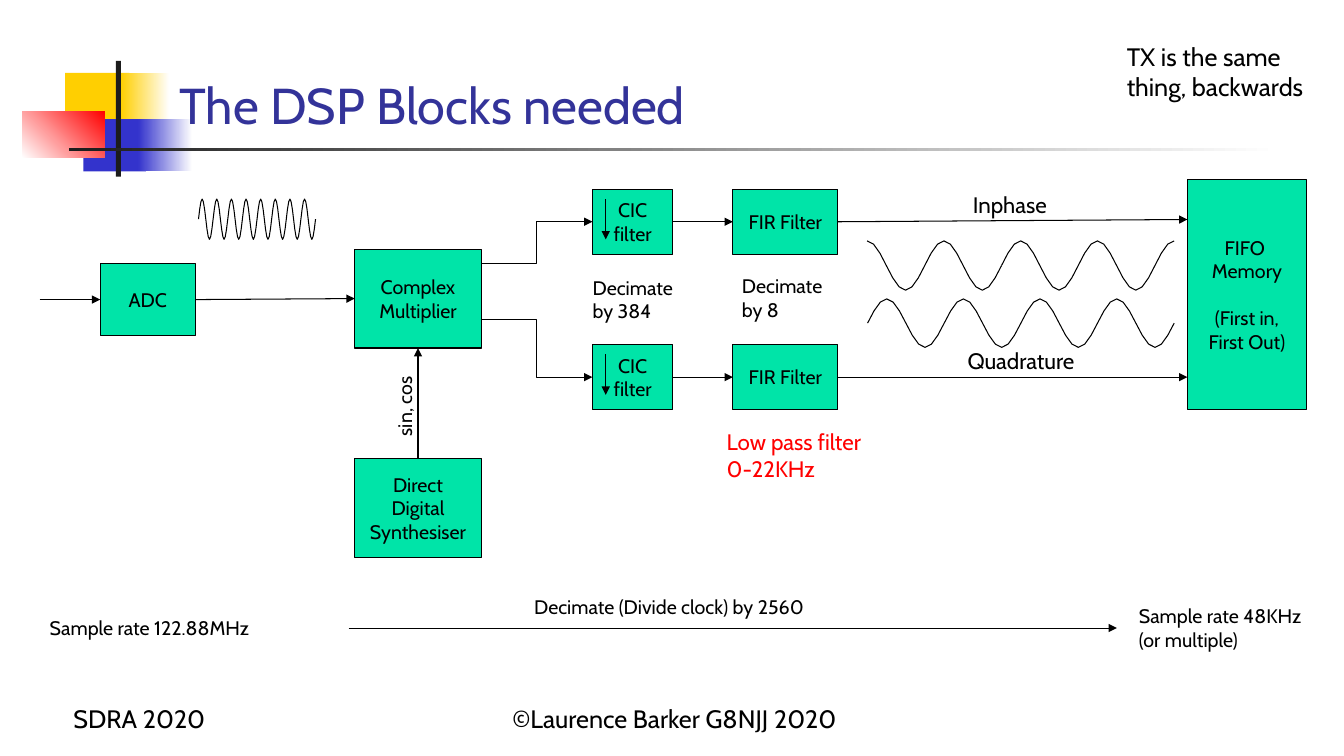
"""Build the slide that shows the DSP blocks of a receiver."""
from dataclasses import dataclass
from math import pi, sin

from lxml.etree import SubElement
from pptx import Presentation
from pptx.dml.color import RGBColor
from pptx.enum.shapes import MSO_CONNECTOR as Wire, MSO_SHAPE as Form
from pptx.enum.text import MSO_ANCHOR as Anchor, PP_ALIGN as Align
from pptx.oxml.ns import qn
from pptx.shapes.autoshape import Shape
from pptx.shapes.connector import Connector
from pptx.shapes.shapetree import SlideShapes as Tree
from pptx.text.text import TextFrame as Frame
from pptx.util import Pt

BLACK, WHITE, GREEN, RED = "000000", "FFFFFF", "00E4A8", "FF0000"
GOLD, BLUE, DARK, NAVY = "FFCF01", "3333CC", "1C1C1C", "333399"
TOP, LEFT, BOTTOM, RIGHT = range(4)
ROWS = (135, 246)
STEPS = 12


@dataclass
class Panel:
    x: float
    y: float
    w: float
    h: float
    hues: tuple[str, ...]
    turn: float = 0


@dataclass
class Block:
    x: float
    y: float
    w: float
    h: float
    words: str
    gaps: tuple[float, ...] = ()


@dataclass
class Label:
    x: float
    y: float
    w: float
    h: float
    words: str
    size: float = 14
    hue: str = BLACK
    wrap: bool = True
    anchor: Anchor = Anchor.TOP
    align: Align = Align.LEFT
    turn: float = 0


@dataclass
class Wave:
    x: float
    mid: float
    width: float
    height: float
    turns: float = 2
    phase: float = 0


PANELS = (
    Panel(46.5, 52, 46, 37.4, (GOLD,)),
    Panel(86.4, 52, 34.6, 37.4, (GOLD, WHITE)),
    Panel(59.6, 85, 44.6, 37.4, (BLUE,)),
    Panel(98.6, 85, 38.9, 37.4, (BLUE, WHITE)),
    Panel(15.8, 79.4, 59, 33.1, (WHITE, RED), 45),
    Panel(82.8, 43.4, 3.6, 82.8, (DARK,)),
    Panel(49, 105.8, 864, 2.2, (DARK, WHITE)),
)
LABELS = (
    Label(121, 16.6, 818, 82.8, "The DSP Blocks needed", 36, NAVY, anchor=Anchor.BOTTOM),
    Label(45.4, 491.8, 200, 36, "SDRA 2020", 18, anchor=Anchor.BOTTOM),
    Label(275.8, 491.8, 411.8, 36, "©Laurence Barker G8NJJ 2020", 18,
          anchor=Anchor.BOTTOM, align=Align.CENTER),
    Label(28.4, 436.3, 162.7, 24.5, "Sample rate 122.88MHz", wrap=False),
    Label(806.4, 428, 133.2, 41, "Sample rate 48KHz\n(or multiple)", wrap=False),
    Label(374.4, 421.2, 226.8, 24.5, "Decimate (Divide clock) by 2560"),
    Label(687.8, 133, 71.3, 26.6, "Inphase", 16, wrap=False),
    Label(684, 244.4, 95, 26.6, "Quadrature", 16, wrap=False),
    Label(258.5, 275.8, 61.2, 24.5, "sin, cos", wrap=False, turn=270),
    Label(797.8, 25.9, 153.4, 51.1, "TX is the same thing, backwards", 18),
    Label(416.2, 193.4, 75.6, 41, "Decimate by 384"),
    Label(522.9, 192.2, 75.6, 41, "Decimate by 8"),
    Label(512, 302.4, 126.7, 46, "Low pass filter 0-22KHz", 16, RED),
)
WAVES = (
    *(Wave(141.8 + 20.9 * i, 156.6, 20.9, 14.4) for i in range(4)),
    *(Wave(619.7 + 109.5 * i, 230.8, 109.5, 17.3) for i in range(2)),
    Wave(619.4, 189.7, 96, 17.6, 1.75, pi / 2),
    Wave(715.4, 189.7, 123.3, 17.6, 2.25),
)


def tint(code: str) -> RGBColor:
    return RGBColor.from_string(code)


def write(frame: Frame, words: str, *, size: float = 14, hue: str = BLACK,
          align: Align = Align.CENTER, anchor: Anchor = Anchor.MIDDLE,
          wrap: bool = True, gaps: tuple[float, ...] = ()) -> None:
    frame.word_wrap = wrap
    frame.vertical_anchor = anchor
    frame.text = words
    for part in frame.paragraphs:
        part.alignment = align
        font = part.runs[0].font
        font.name, font.size = "Cabin", Pt(size)
        font.color.rgb = tint(hue)
    for part, gap in zip(frame.paragraphs, gaps):
        part.space_before = Pt(gap)


def add_rect(tree: Tree, spot: Panel | Block) -> Shape:
    rect = tree.add_shape(Form.RECTANGLE, Pt(spot.x), Pt(spot.y), Pt(spot.w), Pt(spot.h))
    rect.shadow.inherit = False
    return rect


def add_panel(tree: Tree, panel: Panel) -> None:
    rect = add_rect(tree, panel)
    rect.line.fill.background()
    if len(panel.hues) == 1:
        rect.fill.solid()
        rect.fill.fore_color.rgb = tint(panel.hues[0])
        return
    rect.fill.gradient()
    rect.fill.gradient_angle = panel.turn
    for stop, hue in zip(rect.fill.gradient_stops, panel.hues):
        stop.color.rgb = tint(hue)


def ink(shape: Shape | Connector) -> None:
    shape.line.color.rgb = tint(BLACK)
    shape.line.width = Pt(0.75)


def add_block(tree: Tree, block: Block) -> Shape:
    rect = add_rect(tree, block)
    rect.fill.solid()
    rect.fill.fore_color.rgb = tint(GREEN)
    ink(rect)
    write(rect.text_frame, block.words, gaps=block.gaps)
    return rect


def add_label(tree: Tree, label: Label) -> None:
    box = tree.add_textbox(Pt(label.x), Pt(label.y), Pt(label.w), Pt(label.h))
    box.rotation = label.turn
    write(box.text_frame, label.words, size=label.size, hue=label.hue,
          align=label.align, anchor=label.anchor, wrap=label.wrap)


def add_wave(tree: Tree, wave: Wave) -> None:
    count = round(wave.turns * STEPS)
    dots = [(Pt(wave.x + wave.width * i / count),
             Pt(wave.mid - wave.height * sin(wave.phase + 2 * pi * i / STEPS)))
            for i in range(count + 1)]
    pen = tree.build_freeform(*dots[0])
    pen.add_line_segments(dots[1:], close=False)
    curve = pen.convert_to_shape()
    curve.shadow.inherit = False
    curve.fill.background()
    ink(curve)


def add_arrow(tree: Tree, start: tuple, end: tuple, kind: Wire = Wire.STRAIGHT) -> None:
    spots = [(0, 0) if isinstance(tip[0], Shape) else tip for tip in (start, end)]
    wire = tree.add_connector(kind, *(Pt(n) for spot in spots for n in spot))
    for tip, join in ((start, wire.begin_connect), (end, wire.end_connect)):
        if isinstance(tip[0], Shape):
            join(*tip)
    ink(wire)
    SubElement(wire.line._get_or_add_ln(), qn("a:tailEnd"), type="triangle")
    SubElement(wire._element.spPr, qn("a:effectLst"))


def main() -> None:
    deck = Presentation()
    deck.slide_width, deck.slide_height = Pt(960), Pt(540)
    tree = deck.slides.add_slide(deck.slide_layouts[6]).shapes
    for panel in PANELS:
        add_panel(tree, panel)
    adc = add_block(tree, Block(71.6, 188.5, 68, 51, "ADC"))
    mixer = add_block(tree, Block(253.4, 178, 90.4, 70.6, "Complex Multiplier"))
    synth = add_block(tree, Block(253.4, 327.6, 90.4, 70.6, "Direct Digital Synthesiser"))
    add_block(tree, Block(848.2, 128.2, 85, 164.2,
                          "FIFO \nMemory\n(First in, First Out)", (0, 0, 17)))
    add_arrow(tree, (28.4, 214), (adc, LEFT))
    add_arrow(tree, (adc, RIGHT), (mixer, LEFT))
    add_arrow(tree, (synth, TOP), (mixer, BOTTOM))
    add_arrow(tree, (249.1, 448.6), (797.8, 448.6))
    for top, tap, port in zip(ROWS, (188.3, 228.3), (156.8, 269.4)):
        cic = add_block(tree, Block(423.2, top, 57.4, 46.8, "CIC filter"))
        fir = add_block(tree, Block(523.5, top, 75, 46.8, "FIR Filter"))
        add_arrow(tree, (343.8, tap), (cic, LEFT), Wire.ELBOW)
        add_arrow(tree, (432.7, top + 7.2), (432.7, top + 36))
        add_arrow(tree, (cic, RIGHT), (fir, LEFT))
        add_arrow(tree, (fir, RIGHT), (848.2, port))
    for wave in WAVES:
        add_wave(tree, wave)
    for label in LABELS:
        add_label(tree, label)
    deck.save("out.pptx")


if __name__ == "__main__":
    main()
